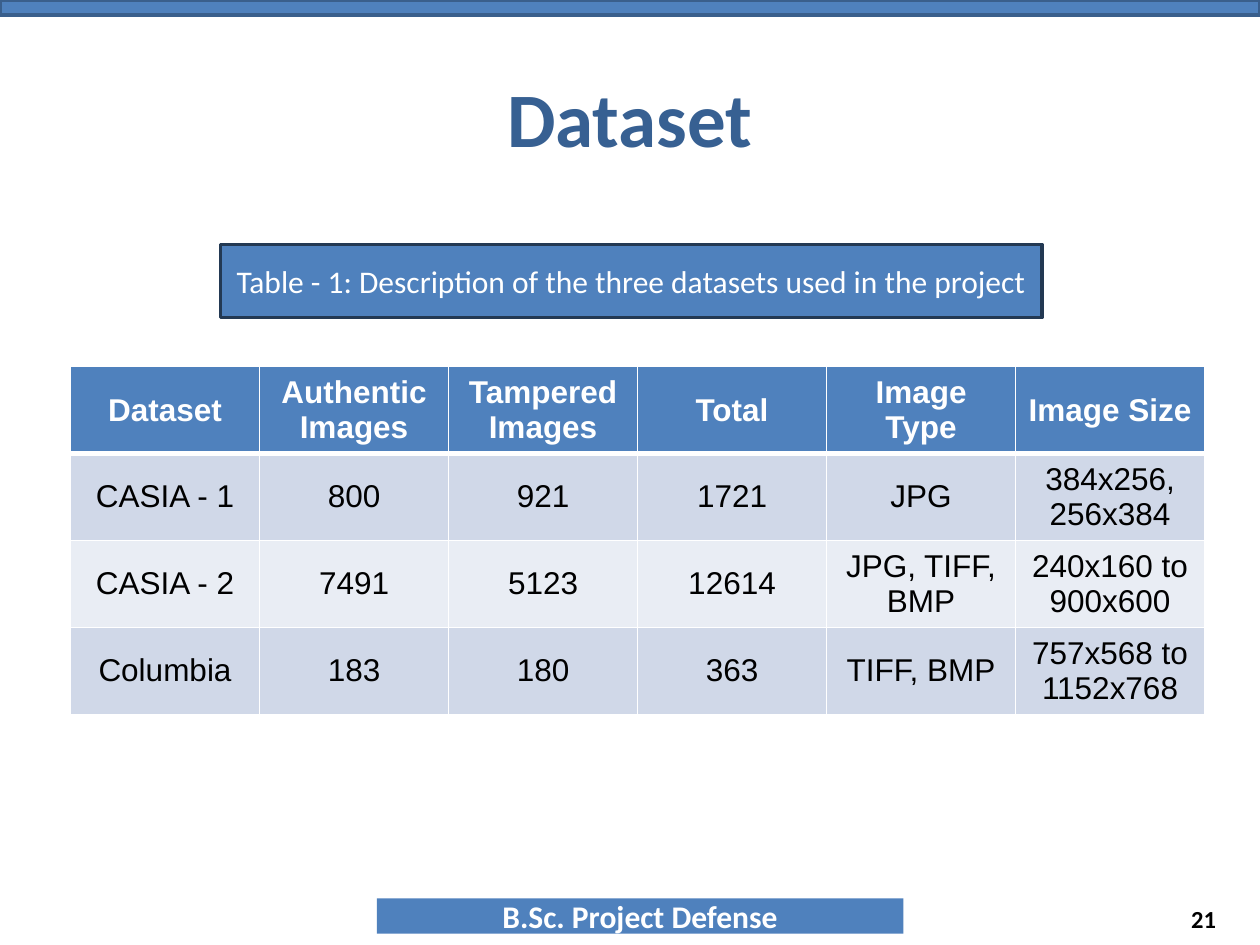
from lxml.etree import SubElement
from pptx import Presentation
from pptx.dml.color import RGBColor
from pptx.enum.shapes import MSO_SHAPE
from pptx.enum.text import MSO_ANCHOR, PP_ALIGN
from pptx.oxml.ns import qn
from pptx.util import Inches, Pt

BLUE = RGBColor(0x4F, 0x81, 0xBD)
TITLE_BLUE = RGBColor(0x37, 0x60, 0x92)
BAR_EDGE = RGBColor(0x3A, 0x5F, 0x8C)
CAPTION_EDGE = RGBColor(0x23, 0x39, 0x53)
DARK_BAND = RGBColor(0xD0, 0xD8, 0xE8)
LIGHT_BAND = RGBColor(0xE9, 0xED, 0xF4)
WHITE = RGBColor(0xFF, 0xFF, 0xFF)
BLACK = RGBColor(0, 0, 0)

DATASETS = [
    ["Dataset", "Authentic Images", "Tampered Images", "Total", "Image Type", "Image Size"],
    ["CASIA - 1", "800", "921", "1721", "JPG", "384x256, 256x384"],
    ["CASIA - 2", "7491", "5123", "12614", "JPG, TIFF, BMP", "240x160 to 900x600"],
    ["Columbia", "183", "180", "363", "TIFF, BMP", "757x568 to 1152x768"],
]


def write_text(text_frame, text, size, color, bold=False, align=PP_ALIGN.CENTER, font_name="Calibri"):
    """Put one styled paragraph in a text frame, centred vertically."""
    text_frame.word_wrap = True
    text_frame.vertical_anchor = MSO_ANCHOR.MIDDLE
    paragraph = text_frame.paragraphs[0]
    paragraph.text = text
    paragraph.alignment = align
    font = paragraph.font
    font.name, font.size, font.bold = font_name, Pt(size), bold
    font.color.rgb = color


def add_box(slide, left, top, width, height, edge=None):
    """Add a blue rectangle, outlined when an edge colour is given."""
    shape = slide.shapes.add_shape(
        MSO_SHAPE.RECTANGLE, Inches(left), Inches(top), Inches(width), Inches(height))
    shape.shadow.inherit = False
    shape.fill.solid()
    shape.fill.fore_color.rgb = BLUE
    if edge is None:
        shape.line.fill.background()
    else:
        shape.line.color.rgb = edge
        shape.line.width = Pt(2)
    return shape


def add_label(slide, left, top, width, height, text, size, color, align):
    """Add a bold text box."""
    box = slide.shapes.add_textbox(Inches(left), Inches(top), Inches(width), Inches(height))
    write_text(box.text_frame, text, size, color, True, align)


def set_borders(cell, top, bottom):
    """Draw white cell borders, with the top and bottom widths in points."""
    properties = cell._tc.get_or_add_tcPr()
    widths = {"a:lnL": 1, "a:lnR": 1, "a:lnT": top, "a:lnB": bottom}
    for index, (tag, width) in enumerate(widths.items()):
        line = SubElement(properties, qn(tag), w=str(Pt(width)))
        fill = SubElement(line, qn("a:solidFill"))
        SubElement(fill, qn("a:srgbClr"), val=str(WHITE))
        properties.insert(index, line)


def add_dataset_table(slide):
    """Add the table of datasets with a blue header and banded rows."""
    table = slide.shapes.add_table(
        len(DATASETS), len(DATASETS[0]), Inches(0.56), Inches(2.91), Inches(9), Inches(2.76)).table
    for row_index, values in enumerate(DATASETS):
        header = row_index == 0
        band = BLUE if header else DARK_BAND if row_index % 2 else LIGHT_BAND
        for cell, value in zip(table.rows[row_index].cells, values):
            write_text(cell.text_frame, value, 18, WHITE if header else BLACK, header, font_name="Arial")
            cell.vertical_anchor = MSO_ANCHOR.MIDDLE
            cell.fill.solid()
            cell.fill.fore_color.rgb = band
            set_borders(cell, top=3 if row_index == 1 else 1, bottom=3 if header else 1)


def main():
    """Build the dataset slide and save it."""
    presentation = Presentation()
    presentation.slide_width = Inches(10)
    presentation.slide_height = Inches(7.5)
    slide = presentation.slides.add_slide(presentation.slide_layouts[6])
    footer = add_box(slide, 2.99, 7.13, 4.18, 0.28)
    write_text(footer.text_frame, "B.Sc. Project Defense", 18, WHITE, True)
    add_box(slide, 0, 0, 10, 0.12, BAR_EDGE)
    add_dataset_table(slide)
    add_label(slide, 0.5, 0.3, 9, 1.25, "Dataset", 44, TITLE_BLUE, PP_ALIGN.CENTER)
    add_label(slide, 7.42, 7.09, 2.33, 0.4, "21", 14, BLACK, PP_ALIGN.RIGHT)
    caption = add_box(slide, 1.75, 1.94, 6.52, 0.58, CAPTION_EDGE)
    write_text(caption.text_frame, "Table - 1: Description of the three datasets used in the project", 18, WHITE)
    presentation.save("out.pptx")


if __name__ == "__main__":
    main()
